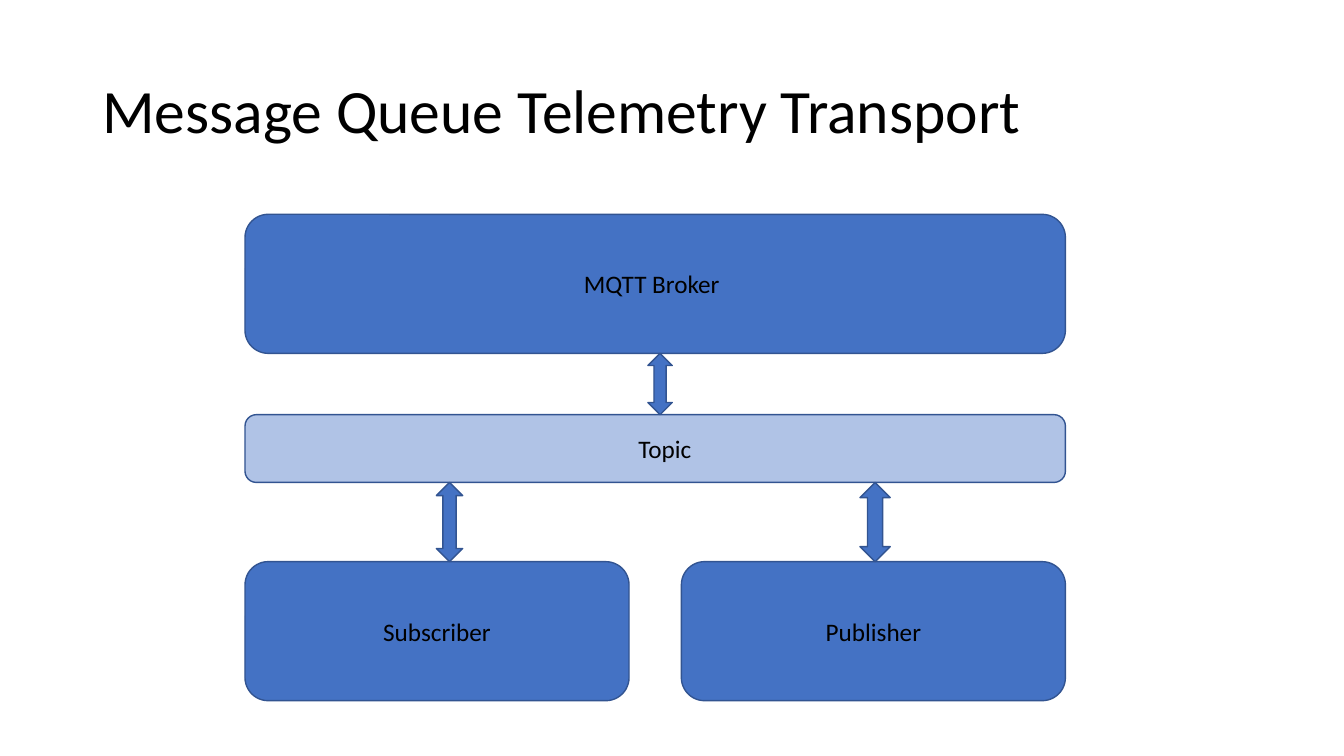
from dataclasses import dataclass

from lxml import etree
from pptx import Presentation
from pptx.dml.color import RGBColor
from pptx.enum.shapes import MSO_SHAPE
from pptx.enum.text import MSO_ANCHOR, MSO_AUTO_SIZE, PP_ALIGN
from pptx.oxml.ns import qn
from pptx.util import Pt


@dataclass(frozen=True)
class Theme:
    font: str = "Calibri"
    text: RGBColor = RGBColor(0x00, 0x00, 0x00)
    fill: RGBColor = RGBColor(0x44, 0x72, 0xC4)
    line: RGBColor = RGBColor(0x32, 0x54, 0x91)
    line_width: float = 1
    topic_opacity: int = 42
    title_size: float = 44
    label_size: float = 18


theme = Theme()


def add_block(kind, left, top, width, height):
    s = slide.shapes.add_shape(kind, Pt(left), Pt(top), Pt(width), Pt(height))
    s.shadow.inherit = False
    s.fill.solid()
    s.fill.fore_color.rgb = theme.fill
    s.line.color.rgb = theme.line
    s.line.width = Pt(theme.line_width)
    return s


def add_text(text, left, top, width, height, size, align=PP_ALIGN.LEFT):
    tf = slide.shapes.add_textbox(Pt(left), Pt(top), Pt(width), Pt(height)).text_frame
    tf.word_wrap = True
    p = tf.paragraphs[0]
    p.alignment = align
    r = p.add_run()
    r.text = text
    for name, value in {"name": theme.font, "size": Pt(size)}.items():
        setattr(r.font, name, value)
    r.font.color.rgb = theme.text
    return tf


prs = Presentation()
prs.slide_width, prs.slide_height = Pt(960), Pt(540)
slide = prs.slides.add_slide(prs.slide_layouts[6])

# Title
tf = add_text("Message Queue Telemetry Transport", 66, 28.75, 828, 104.4, theme.title_size)
tf.vertical_anchor = MSO_ANCHOR.MIDDLE
tf.paragraphs[0].line_spacing = 0.9

# Boxes: broker and topic span the two clients below them
left, full_width, client_width = 175, 586, 274.3
publisher_left = left + full_width - client_width
box_height, client_top = 99.3, 401.2
topic_top, topic_height = 296.2, 48.4

add_block(MSO_SHAPE.ROUNDED_RECTANGLE, left, 153.1, full_width, box_height)
for client_left in (left, publisher_left):
    add_block(MSO_SHAPE.ROUNDED_RECTANGLE, client_left, client_top, client_width, box_height)
topic = add_block(MSO_SHAPE.ROUNDED_RECTANGLE, left, topic_top, full_width, topic_height)
color = topic.fill._xPr.find(qn("a:solidFill"))[0]
etree.SubElement(color, qn("a:alpha"), val=str(theme.topic_opacity * 1000))

# Labels
for text, label_left, label_top, align in (
    ("MQTT Broker", 409.9, 188.2, PP_ALIGN.LEFT),
    ("Topic", 448.9, 306.2, PP_ALIGN.LEFT),
    ("Subscriber", 241.9, 436.6, PP_ALIGN.CENTER),
    ("Publisher", 553.7, 436.6, PP_ALIGN.CENTER),
):
    tf = add_text(text, label_left, label_top, 140.4, 29.1, theme.label_size, align)
    tf.auto_size = MSO_AUTO_SIZE.SHAPE_TO_FIT_TEXT

# Arrows: each fills the gap between two rows
broker_bottom, topic_bottom = 252.4, topic_top + topic_height
for center, width, top, bottom in (
    (471.5, 17.4, broker_bottom, topic_top),
    (321.1, 18.8, topic_bottom, client_top),
    (625.1, 21.6, topic_bottom, client_top),
):
    add_block(MSO_SHAPE.UP_DOWN_ARROW, center - width / 2, top, width, bottom - top)

prs.save("out.pptx")
